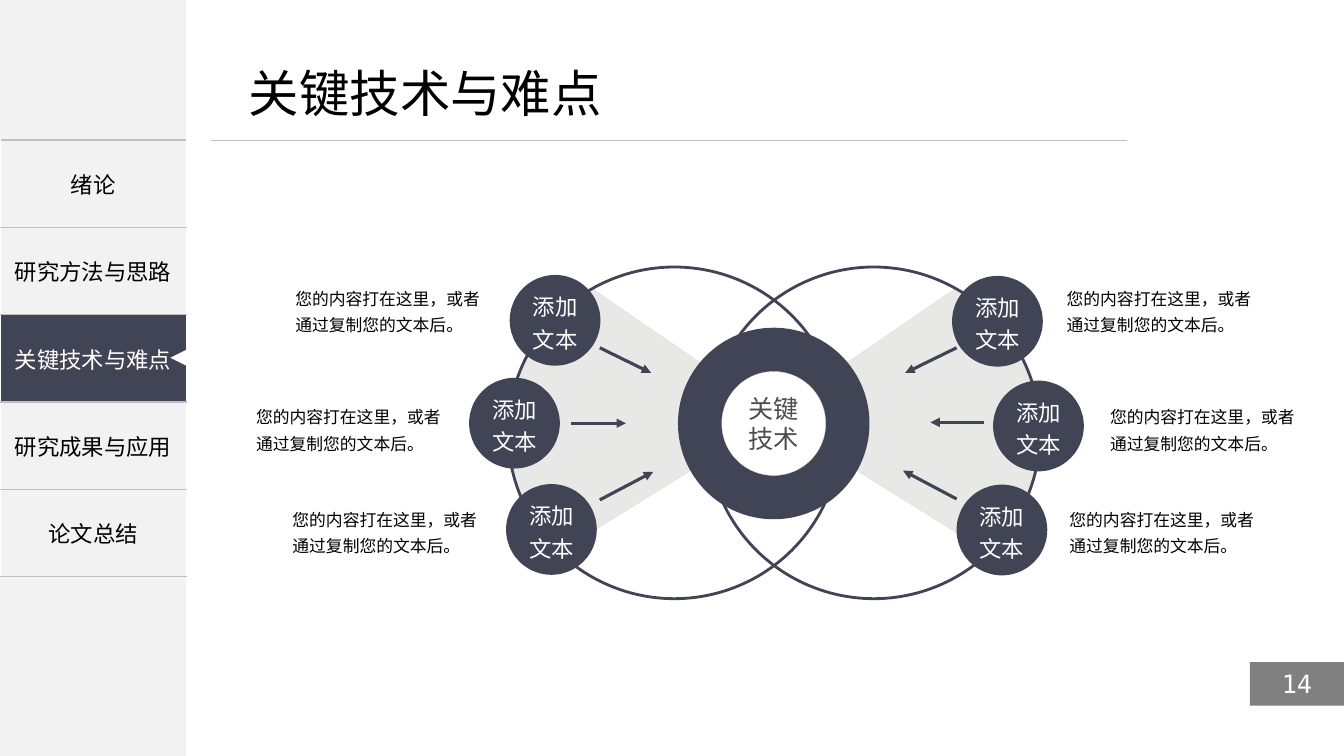
from lxml import etree
from pptx import Presentation
from pptx.dml.color import RGBColor
from pptx.enum.shapes import MSO_CONNECTOR as Connector, MSO_SHAPE as Shape
from pptx.enum.text import MSO_ANCHOR as Anchor, MSO_AUTO_SIZE as AutoSize, PP_ALIGN as Align
from pptx.oxml.ns import qn
from pptx.util import Pt

CJK = "Noto Sans CJK SC"
NAVY, GREY, PANEL, WEDGE = "414455", "BFBFBF", "F2F2F2", "E8E8E6"
BLACK, WHITE = "000000", "FFFFFF"

TITLE = "关键技术与难点"
CHAPTERS = ["绪论", "研究方法与思路", TITLE, "研究成果与应用", "论文总结"]
PAGE_NUMBER = "14"
HUB = "关键技术"
NODE = "添加文本"
CAPTION = "您的内容打在这里，或者通过复制您的文本后。"

SIDEBAR_WIDTH, MENU_TOP, ROW_HEIGHT = 133, 100, 62.4
HUB_CENTRE = (552.7, 302.5)
NODE_SIZE = 64.8
# circle centre, caption corner, arrow start, arrow end
BRANCHES = [
    ((396.5, 228.8), (208, 198.7), (428.4, 248.4), (465.1, 266.4)),
    ((367.5, 302.3), (180, 283.7), (408.2, 302.3), (447.1, 302.3)),
    ((393.9, 378.2), (206, 357.1), (428.4, 357.1), (466.6, 337)),
    ((712.5, 229.5), (759, 198.7), (683.3, 248.4), (646.6, 266.4)),
    ((741.8, 304.3), (790, 283.7), (702.7, 301.7), (664.6, 301.7)),
    ((715.7, 378.6), (761, 357.1), (683.3, 356.4), (645.1, 336.2)),
]
# right wedge: straight corners, then Bezier curves along the outer rim
WEDGE_CORNERS = [(681.8, 206.6), (549.4, 297.4), (706.3, 394.6)]
WEDGE_CURVES = [
    [(706.3, 394.6), (744.5, 347.8), (740.2, 331.9), (742.3, 307.4)],
    [(742.3, 307.4), (740.9, 288), (736.6, 267.1), (725, 249.8)],
    [(725, 249.8), (706.3, 223.9), (710.6, 226.1), (681.8, 206.6)],
]
MIRROR_X = 552.6


def colour(value):
    return RGBColor.from_string(value)


def write(frame, text, size, ink, align=Align.CENTER, font=CJK, spacing=None, inset=3.6):
    frame.text = text
    frame.word_wrap = True
    frame.margin_left = frame.margin_right = Pt(inset)
    frame.margin_top = frame.margin_bottom = Pt(inset)
    style(frame.paragraphs[0], size, ink, align, font, spacing)


def style(para, size, ink, align=Align.CENTER, font=CJK, spacing=None):
    para.alignment = align
    if spacing:
        para.line_spacing = spacing
    for span in para.runs:
        span.font.size = Pt(size)
        span.font.color.rgb = colour(ink)
        span.font.name = font
        props = span.font._element
        etree.SubElement(props, qn("a:ea")).set("typeface", font)


def paint(shape, fill=None, line=None, weight=0.75):
    shape.shadow.inherit = False
    if fill:
        shape.fill.solid()
        shape.fill.fore_color.rgb = colour(fill)
    else:
        shape.fill.background()
    if line:
        shape.line.color.rgb = colour(line)
        shape.line.width = Pt(weight)
    else:
        shape.line.fill.background()
    return shape


def add(kind, left, top, width, height, **look):
    shape = page.shapes.add_shape(kind, Pt(left), Pt(top), Pt(width), Pt(height))
    return paint(shape, **look)


def add_disc(centre, width, height=None, **look):
    height = height or width
    return add(Shape.OVAL, centre[0] - width / 2, centre[1] - height / 2, width, height, **look)


def add_line(start, end, ink, weight, arrow=False):
    line = page.shapes.add_connector(Connector.STRAIGHT, *(Pt(v) for v in (*start, *end)))
    line.line.color.rgb = colour(ink)
    line.line.width = Pt(weight)
    if arrow:
        etree.SubElement(line.line._get_or_add_ln(), qn("a:tailEnd")).set("type", "triangle")
    etree.SubElement(line._element.spPr, qn("a:effectLst"))


def border_rows(cell):
    """Draw a grey line above and below a table cell."""
    for position, tag in enumerate(("a:lnT", "a:lnB")):
        edge = etree.Element(qn(tag), w=str(Pt(1)))
        fill = etree.SubElement(edge, qn("a:solidFill"))
        etree.SubElement(fill, qn("a:srgbClr")).set("val", GREY)
        cell._tc.get_or_add_tcPr().insert(position, edge)


def bezier(points, steps=12):
    for step in range(1, steps + 1):
        t = step / steps
        weights = ((1 - t) ** 3, 3 * t * (1 - t) ** 2, 3 * t * t * (1 - t), t ** 3)
        yield tuple(sum(w * p[axis] for w, p in zip(weights, points)) for axis in (0, 1))


def add_wedge(mirrored):
    outline = WEDGE_CORNERS + [point for curve in WEDGE_CURVES for point in bezier(curve)]
    if mirrored:
        outline = [(2 * MIRROR_X - x, y) for x, y in outline]
    outline = [(Pt(x), Pt(y)) for x, y in outline]
    builder = page.shapes.build_freeform(*outline[0])
    builder.add_line_segments(outline[1:], close=True)
    paint(builder.convert_to_shape(), fill=WEDGE, line="E6E6E6")


def add_menu():
    add(Shape.RECTANGLE, 0, 0, SIDEBAR_WIDTH, 540, fill=PANEL)
    table = page.shapes.add_table(len(CHAPTERS), 1, 0, Pt(MENU_TOP), Pt(SIDEBAR_WIDTH),
                                  Pt(ROW_HEIGHT * len(CHAPTERS))).table
    table.first_row = table.horz_banding = False
    for row, chapter in enumerate(CHAPTERS):
        cell = table.cell(row, 0)
        current = chapter == TITLE
        cell.text = chapter
        cell.vertical_anchor = Anchor.MIDDLE
        cell.margin_left = cell.margin_right = Pt(3.6)
        style(cell.text_frame.paragraphs[0], 16, WHITE if current else BLACK)
        cell.fill.solid()
        cell.fill.fore_color.rgb = colour(NAVY if current else PANEL)
        border_rows(cell)
    marker = add(Shape.ISOSCELES_TRIANGLE, 121.7, 249.8, 11.5, 11.5, fill=WHITE)
    marker.rotation = 270


def add_title():
    add_line((150.5, MENU_TOP), (805, MENU_TOP), GREY, 0.5)
    title = page.shapes.title
    title.left, title.top, title.width, title.height = Pt(174.2), Pt(41), Pt(260), Pt(56.9)
    write(title.text_frame, TITLE, 36, BLACK, Align.LEFT)
    title.text_frame.word_wrap = False
    title.text_frame.auto_size = AutoSize.NONE
    title.text_frame.vertical_anchor = Anchor.TOP


def add_diagram():
    for mirrored in (False, True):
        add_wedge(mirrored)
    for centre_x in (481.7, 624.2):
        add_disc((centre_x, 309.2), 237.6, 236.9, line=NAVY, weight=2)
    for _, _, start, end in BRANCHES:
        add_line(start, end, NAVY, 2.25, arrow=True)
    add_disc(HUB_CENTRE, 136.8, fill=NAVY)
    hub = add_disc(HUB_CENTRE, 74.2, fill=WHITE, line="D7D7D7", weight=0.25)
    write(hub.text_frame, HUB, 18, "4D4D4D", inset=0)
    for centre, corner, _, _ in BRANCHES:
        node = add_disc(centre, NODE_SIZE, fill=NAVY)
        write(node.text_frame, NODE, 16, WHITE, spacing=1.2, inset=0)
        caption = page.shapes.add_textbox(*(Pt(v) for v in (*corner, 140, 45.4)))
        write(caption.text_frame, CAPTION, 12, BLACK, Align.LEFT, spacing=1.3, inset=2.9)


deck = Presentation()
deck.slide_width, deck.slide_height = Pt(960), Pt(540)
page = deck.slides.add_slide(deck.slide_layouts[5])
add_menu()
add_title()
number = add(Shape.RECTANGLE, 892.8, 473, 67.2, 31, fill="808080")
write(number.text_frame, PAGE_NUMBER, 18, WHITE, font="DejaVu Sans Mono")
add_diagram()
deck.save("out.pptx")
